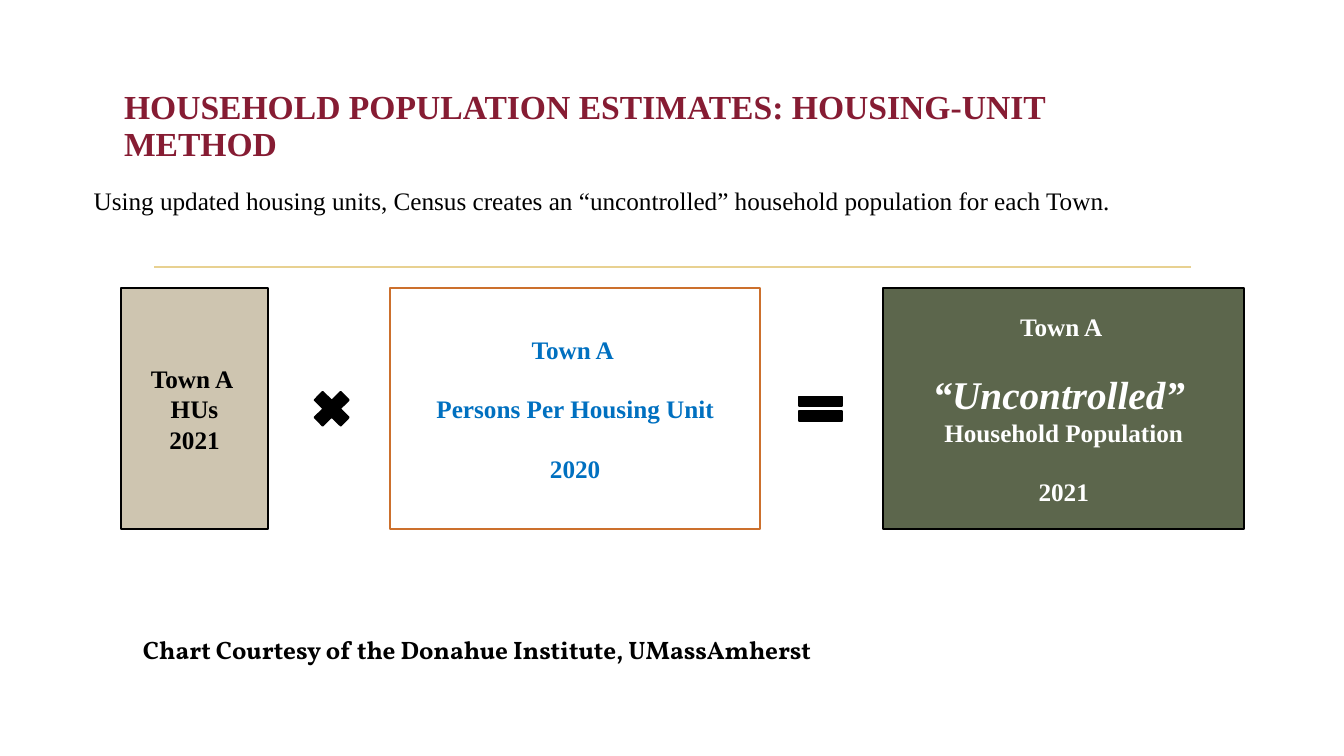
from lxml.etree import SubElement
from pptx import Presentation
from pptx.dml.color import RGBColor
from pptx.enum.shapes import MSO_CONNECTOR, MSO_SHAPE
from pptx.enum.text import MSO_ANCHOR, MSO_AUTO_SIZE, PP_ALIGN
from pptx.oxml.ns import qn
from pptx.util import Inches, Pt

BLACK = RGBColor(0x00, 0x00, 0x00)
WHITE = RGBColor(0xFF, 0xFF, 0xFF)
MAROON = RGBColor(0x86, 0x1C, 0x33)
GOLD = RGBColor(0xE8, 0xD1, 0x91)
TAN = RGBColor(0xCE, 0xC5, 0xB0)
OLIVE = RGBColor(0x5C, 0x66, 0x4C)
ORANGE = RGBColor(0xCC, 0x70, 0x2D)
BLUE = RGBColor(0x00, 0x70, 0xC0)
SERIF = "Times New Roman"
GAP = 20.7


def write(frame, text, size=18, font=SERIF, color=BLACK, bold=True,
          italic=False, align=PP_ALIGN.LEFT, before=0, spacing=1):
    """Add a formatted paragraph, filling the first one if it is blank."""
    first = frame.paragraphs[0]
    para = first if not first.runs else frame.add_paragraph()
    para.alignment, para.line_spacing = align, spacing
    para.space_before = Pt(before)
    run = para.add_run()
    run.text = text
    face = run.font
    face.name, face.size = font, Pt(size)
    face.bold, face.italic = bold, italic
    face.color.rgb = color


def add_title(slide, box, text):
    """Move the title placeholder to its box and fill it."""
    title = slide.shapes.title
    title.left, title.top, title.width, title.height = map(Inches, box)
    frame = title.text_frame
    frame.auto_size, frame.word_wrap = MSO_AUTO_SIZE.NONE, True
    frame.vertical_anchor = MSO_ANCHOR.TOP
    frame.margin_left = frame.margin_right = Inches(0.4)
    write(frame, text, size=24, color=MAROON, spacing=0.9)


def add_note(slide, box, text, wrap=True, **style):
    """Place one line of text in a box of its own."""
    frame = slide.shapes.add_textbox(*map(Inches, box)).text_frame
    frame.word_wrap = wrap
    frame.auto_size = MSO_AUTO_SIZE.SHAPE_TO_FIT_TEXT
    write(frame, text, **style)


def add_rule(slide, left, top, width):
    """Draw the gold rule above the formula."""
    rule = slide.shapes.add_connector(
        MSO_CONNECTOR.STRAIGHT, Inches(left), Inches(top),
        Inches(left + width), Inches(top))
    rule.line.color.rgb, rule.line.width = GOLD, Pt(1.25)
    SubElement(rule._element.spPr, qn("a:effectLst"))


def add_form(slide, kind, box, fill, line):
    """Add a filled and outlined shape without a shadow."""
    form = slide.shapes.add_shape(kind, *map(Inches, box))
    form.shadow.inherit = False
    form.fill.solid()
    form.fill.fore_color.rgb = fill
    form.line.color.rgb, form.line.width = line, Pt(1.25)
    return form


def add_term(slide, box, fill, line, color, rows):
    """Add one boxed term of the formula with its centred rows."""
    term = add_form(slide, MSO_SHAPE.FLOWCHART_PROCESS, box, fill, line)
    frame = term.text_frame
    frame.word_wrap, frame.vertical_anchor = True, MSO_ANCHOR.MIDDLE
    for text, style in rows:
        write(frame, text, color=color, align=PP_ALIGN.CENTER, **style)


def add_sign(slide, kind, left, mid, width, height):
    """Add a black operator centred on the given height."""
    box = left, mid - height / 2, width, height
    add_form(slide, kind, box, BLACK, BLACK)


def add_formula(slide, left, top, width, height):
    """Lay out the three terms and two signs across the box."""
    mid = top + height / 2
    apart = {"before": GAP}
    add_term(slide, (left, top, 1.46, height), TAN, BLACK, BLACK,
             [("Town A ", {}), ("HUs", {}), ("2021", {})])
    add_sign(slide, MSO_SHAPE.MATH_MULTIPLY, left + 1.84, mid, 0.5, 0.49)
    add_term(slide, (left + 2.67, top, 3.67, height), WHITE, ORANGE, BLUE,
             [("Town A ", {}), ("Persons Per Housing Unit", apart),
              ("2020", apart)])
    add_sign(slide, MSO_SHAPE.MATH_EQUAL, left + 6.65, mid, 0.58, 0.41)
    add_term(slide, (left + width - 3.58, top, 3.58, height),
             OLIVE, BLACK, WHITE,
             [("Town A ", {}),
              ("“Uncontrolled” ", {"size": 28, "italic": True, **apart}),
              ("Household Population", {}), ("2021", apart)])


def main():
    """Build the slide and save it."""
    deck = Presentation()
    deck.slide_width, deck.slide_height = Inches(13.33), Inches(7.5)
    slide = deck.slides.add_slide(deck.slide_layouts[5])
    add_rule(slide, 1.53, 2.65, 10.28)
    add_title(slide, (0.83, 0.85, 11.5, 0.71),
              "HOUSEHOLD POPULATION ESTIMATES: HOUSING-UNIT METHOD")
    add_note(slide, (0.83, 1.79, 12.29, 0.4),
             "Using updated housing units, Census creates an “uncontrolled” "
             "household population for each Town.", bold=False)
    add_formula(slide, 1.2, 2.86, 11.14, 2.39)
    add_note(slide, (1.32, 6.24, 7, 0.4),
             "Chart Courtesy of the Donahue Institute, UMassAmherst",
             wrap=False, font="Vollkorn")
    deck.save("out.pptx")


if __name__ == "__main__":
    main()
